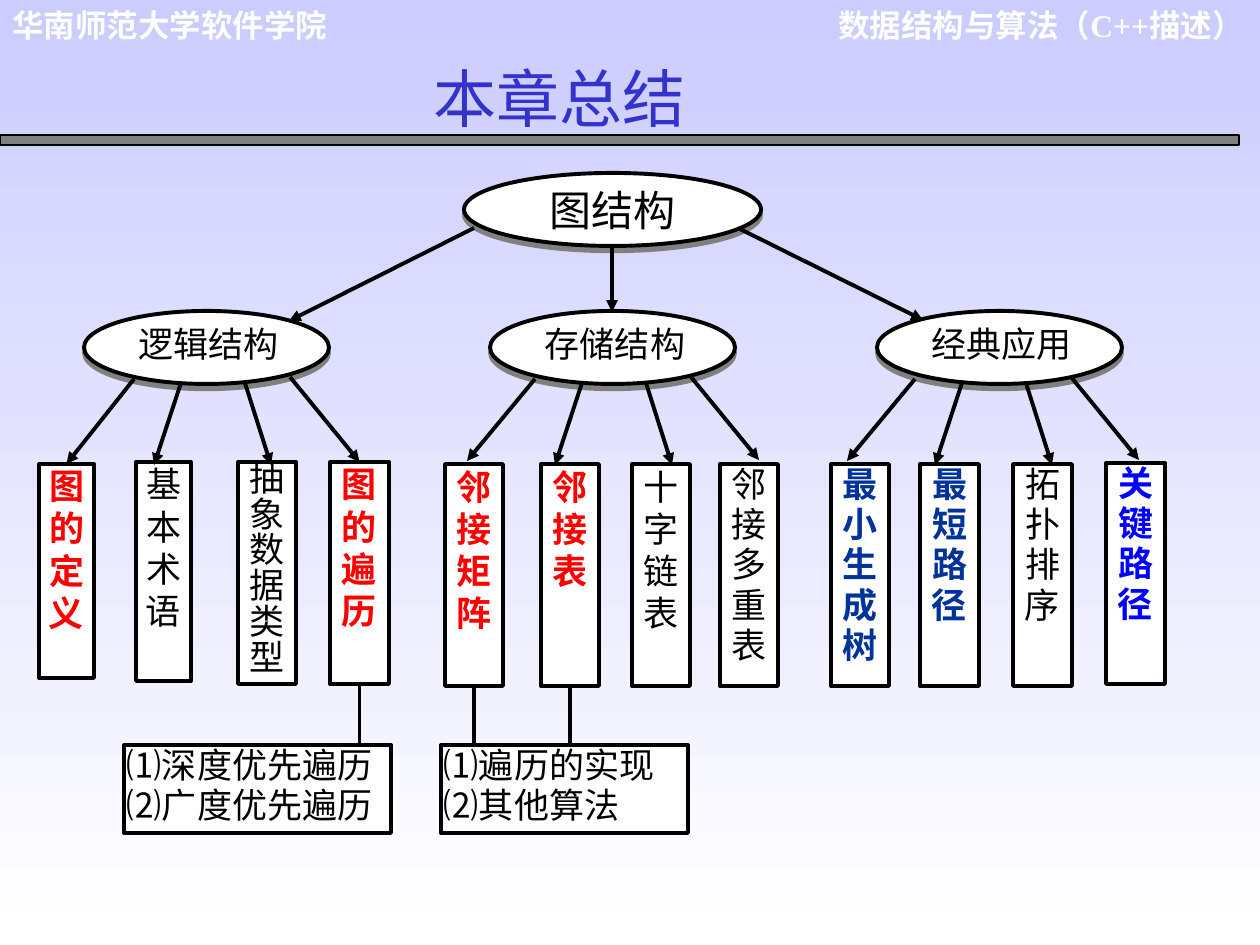
import pptx
import pptx.dml.color
import pptx.enum.shapes
import pptx.enum.text
import pptx.oxml
import pptx.oxml.ns
import pptx.util

EMU_PER_PX = 914400 / 126
FONT = "Times New Roman"
COLOURS = {
    "sky": "CCCCFF", "white": "FFFFFF", "black": "000000", "grey": "808080",
    "title": "3333CC", "red": "FF0000", "navy": "003399", "blue": "0000FF",
}
ALIGN = pptx.enum.text.PP_ALIGN
ANCHOR = pptx.enum.text.MSO_ANCHOR
SHAPE = pptx.enum.shapes.MSO_SHAPE

# text, left, top, width, height, colour, line spacing
LOGIC_LEAVES = [
    ("图的定义", 39, 464, 55, 214, "red", 1),
    ("基本术语", 136, 462, 55, 219, "black", 1),
    ("抽象数据类型", 238, 462, 58, 222, "black", 0.85),
    ("图的遍历", 330, 462, 59, 222, "red", 1),
]
STORAGE_LEAVES = [
    ("邻接矩阵", 445, 464, 58, 222, "red", 1),
    ("邻接表", 541, 464, 58, 222, "red", 1),
    ("十字链表", 632, 464, 58, 222, "black", 1),
    ("邻接多重表", 720, 464, 58, 222, "black", 0.96),
]
APPLICATION_LEAVES = [
    ("最小生成树", 831, 464, 58, 222, "navy", 0.96),
    ("最短路径", 920, 464, 59, 222, "navy", 0.96),
    ("拓扑排序", 1013, 464, 59, 222, "black", 0.96),
    ("关键路径", 1106, 463, 59, 221, "blue", 0.96),
]
# topic, ellipse left, origin of its arrows, leaves
BRANCHES = [
    ("逻辑结构", 84, 85, LOGIC_LEAVES),
    ("存储结构", 490, 486, STORAGE_LEAVES),
    ("经典应用", 877, 866, APPLICATION_LEAVES),
]
# start x, start y, end x, end y, with x counted from the branch's origin
SPOKES = [(49, 379, -19, 461), (96, 383, 69, 465),
          (160, 383, 186, 465), (205, 377, 273, 460)]
ROOT_ARROWS = [(474, 228, 289, 321), (612, 244, 612, 312), (738, 228, 923, 320)]
JOIN_TOLERANCE = 3


def px(length):
    return pptx.util.Emu(round(length * EMU_PER_PX))


def colour(name):
    return pptx.dml.color.RGBColor.from_string(COLOURS[name])


def shadow_xml(distance, direction):
    return pptx.oxml.parse_xml(
        f'<a:effectLst {pptx.oxml.ns.nsdecls("a")}>'
        f'<a:outerShdw blurRad="0" dist="{distance}" dir="{direction}">'
        f'<a:srgbClr val="{COLOURS["grey"]}"/></a:outerShdw></a:effectLst>')


def write(box, lines, size, ink, bold=False, align=ALIGN.CENTER,
          spacing=1, anchor=ANCHOR.TOP, font=FONT):
    frame = box.text_frame
    frame.word_wrap = True
    frame.auto_size = pptx.enum.text.MSO_AUTO_SIZE.NONE
    frame.vertical_anchor = anchor
    for index, line in enumerate(lines):
        para = frame.add_paragraph() if index else frame.paragraphs[0]
        para.alignment = align
        para.line_spacing = spacing
        span = para.add_run()
        span.text = line
        span.font.name = font
        span.font.size = pptx.util.Pt(size)
        span.font.bold = bold
        span.font.color.rgb = colour(ink)


def set_insets(box, left, top, right, bottom):
    frame = box.text_frame
    frame.margin_left, frame.margin_top = px(left), px(top)
    frame.margin_right, frame.margin_bottom = px(right), px(bottom)


def add_outlined(page, kind, left, top, width, height, fill="white", line_width=2.25):
    shape = page.shapes.add_shape(kind, px(left), px(top), px(width), px(height))
    shape.shadow.inherit = False
    shape.fill.solid()
    shape.fill.fore_color.rgb = colour(fill)
    shape.line.color.rgb = colour("black")
    shape.line.width = pptx.util.Pt(line_width)
    return shape


def add_topic(page, text, left, top, width, height, size, right_inset):
    topic = add_outlined(page, SHAPE.OVAL, left, top, width, height)
    properties = topic.element.spPr
    empty = properties.find(pptx.oxml.ns.qn("a:effectLst"))
    properties.replace(empty, shadow_xml(38100, 5400000))
    set_insets(topic, 8, 1, right_inset, 6)
    write(topic, [text], size, "black")


def add_box(page, lines, left, top, width, height, ink="black",
            spacing=0.96, align=ALIGN.JUSTIFY):
    box = add_outlined(page, SHAPE.RECTANGLE, left, top, width, height)
    set_insets(box, 3, 1, 3, 1)
    write(box, lines, 20, ink, ink != "black", align, spacing)
    return box


def add_line(page, x1, y1, x2, y2, arrow=False):
    line = page.shapes.add_connector(
        pptx.enum.shapes.MSO_CONNECTOR.STRAIGHT, px(x1), px(y1), px(x2), px(y2))
    line.line.color.rgb = colour("black")
    line.line.width = pptx.util.Pt(2.25)
    properties = line.element.spPr
    if arrow:
        outline = properties.find(pptx.oxml.ns.qn("a:ln"))
        outline.append(pptx.oxml.parse_xml(
            f'<a:tailEnd {pptx.oxml.ns.nsdecls("a")} type="triangle"/>'))
    properties.append(pptx.oxml.parse_xml(
        f'<a:effectLst {pptx.oxml.ns.nsdecls("a")}/>'))
    return line


def add_branch(page, topic, left, origin, leaves):
    """Draws a topic with its four leaves and arrows; returns the leaf boxes."""
    add_topic(page, topic, left, 311, 245, 73, 20, 3)
    boxes = []
    for leaf, (x1, y1, x2, y2) in zip(leaves, SPOKES):
        text, leaf_left, top, width, height, ink, spacing = leaf
        box = add_box(page, [text], leaf_left, top, width, height,
                      ink, spacing, ALIGN.CENTER)
        arrow = add_line(page, origin + x1, y1, origin + x2, y2, arrow=True)
        if abs(origin + x2 - leaf_left - width / 2) <= JOIN_TOLERANCE:
            arrow.end_connect(box, 0)
        boxes.append(box)
    return boxes


def add_note(page, lines, left, width, sources):
    """Draws a note box, with a line down to it from each source box."""
    top = 745
    add_box(page, lines, left, top, width, 88)
    for source in sources:
        middle = (source.left + source.width / 2) / EMU_PER_PX
        line = add_line(page, middle, top - 60, middle, top)
        line.begin_connect(source, 2)


def add_header(page, text, left, width, align, font):
    box = page.shapes.add_textbox(px(left), px(0), px(width), px(50))
    write(box, [text], 18, "white", True, align, anchor=ANCHOR.MIDDLE, font=font)


def set_title(page, text):
    title = page.shapes.title
    title.left, title.top, title.width, title.height = px(421), px(53), px(404), px(88)
    write(title, [text], 36, "title", align=ALIGN.LEFT, anchor=ANCHOR.MIDDLE)
    fill = title.text_frame.paragraphs[0].runs[0].font.fill
    fill.solid()
    fill.fore_color.rgb = colour("title")
    properties = title.element.find(".//" + pptx.oxml.ns.qn("a:rPr"))
    properties.find(pptx.oxml.ns.qn("a:solidFill")).addnext(shadow_xml(25400, 2700000))


def set_background(page):
    fill = page.background.fill
    fill.gradient()
    fill.gradient_angle = 270
    for stop, name, position in zip(fill.gradient_stops, ("sky", "white"), (0, 1)):
        stop.color.rgb = colour(name)
        stop.position = position


def main():
    deck = pptx.Presentation()
    deck.slide_width, deck.slide_height = px(1260), px(945)
    page = deck.slides.add_slide(deck.slide_layouts[5])
    set_background(page)
    add_header(page, "数据结构与算法（C++描述）", 790, 466, ALIGN.RIGHT, FONT)
    add_header(page, "华南师范大学软件学院", 0, 345, ALIGN.LEFT, "Arial")
    add_outlined(page, SHAPE.RECTANGLE, 0, 135, 1239, 10, "grey", 0.75)
    set_title(page, "本章总结")

    add_topic(page, "图结构", 464, 173, 297, 73, 24, 8)
    logic, storage, _ = [add_branch(page, *branch) for branch in BRANCHES]
    for ends in ROOT_ARROWS:
        add_line(page, *ends, arrow=True)
    add_note(page, ["⑴深度优先遍历", "⑵广度优先遍历"], 124, 267, logic[3:])
    add_note(page, ["⑴遍历的实现", "⑵其他算法"], 441, 247, storage[:2])
    deck.save("out.pptx")


if __name__ == "__main__":
    main()
